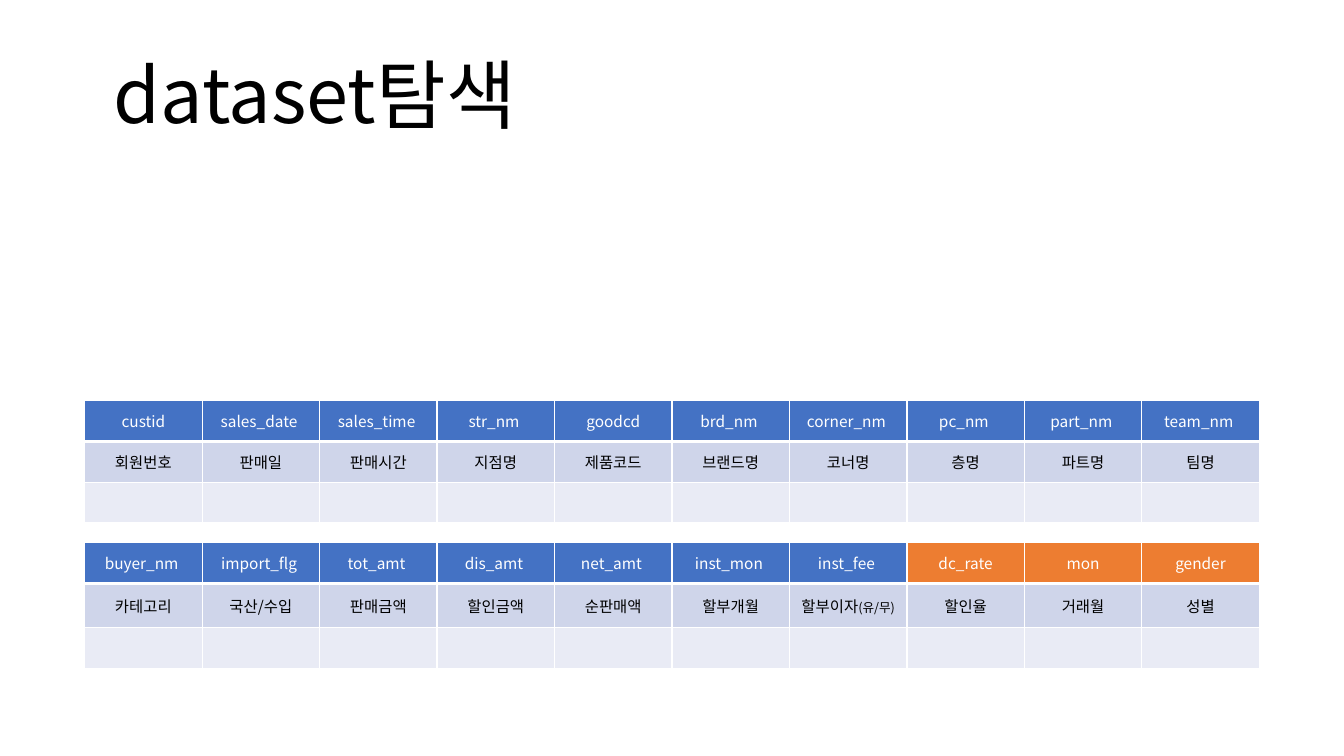
from lxml.etree import SubElement
from pptx import Presentation
from pptx.dml.color import RGBColor
from pptx.enum.text import MSO_ANCHOR as ANCHOR, MSO_AUTO_SIZE as AUTO, PP_ALIGN as ALIGN
from pptx.oxml.ns import qn
from pptx.util import Pt

PX = 9144  # EMU per px, 100 px to the inch
FONT = "Noto Sans CJK KR"
COLORS = {
    "text": "000000",
    "white": "FFFFFF",
    "source": "4472C4",
    "derived": "ED7D31",
    "label": "CFD5EA",
    "empty": "E9EBF5",
}

# Each column: field name, then the runs of its label as (text, size)
SALES_FIELDS = [
    ("custid", "회원번호"), ("sales_date ", "판매일"), ("sales_time ", "판매시간"),
    ("str_nm ", "지점명"), ("goodcd", "제품코드"), ("brd_nm ", "브랜드명"),
    ("corner_nm ", "코너명"), ("pc_nm ", "층명"), ("part_nm ", "파트명"),
    ("team_nm ", "팀명"),
]
AMOUNT_FIELDS = [
    ("buyer_nm ", "카테고리"), ("import_flg ", "국산/수입"), ("tot_amt ", "판매금액"),
    ("dis_amt ", "할인금액"), ("net_amt ", "순판매액"), ("inst_mon ", "할부개월"),
    ("inst_fee ", "할부이자"), ("dc_rate", "할인율"), ("mon", "거래월"),
    ("gender", "성별"),
]
DERIVED = {"dc_rate", "mon", "gender"}
SMALL_NOTES = {"할부이자": "(유/무)"}


def rgb(name):
    return RGBColor.from_string(COLORS[name])


def style_paragraph(p, size, color, align):
    p.alignment = align
    p.font.size = Pt(size)
    p.font.bold = False
    p.font.name = FONT
    p.font.color.rgb = rgb(color)
    props = p._p.pPr.find(qn("a:defRPr"))
    SubElement(props, qn("a:ea")).set("typeface", FONT)


def add_title(s, text, x, y, w, h):
    sp = s.shapes.title
    sp.left, sp.top, sp.width, sp.height = (v * PX for v in (x, y, w, h))
    tf = sp.text_frame
    tf.text = text
    tf.word_wrap = False
    tf.auto_size = AUTO.SHAPE_TO_FIT_TEXT
    tf.vertical_anchor = ANCHOR.TOP
    style_paragraph(tf.paragraphs[0], 54, "text", ALIGN.LEFT)


def set_borders(cell, bottom):
    """Draw white cell borders; only the bottom width varies."""
    tcPr = cell._tc.get_or_add_tcPr()
    widths = {"L": 1, "R": 1, "T": 1, "B": bottom}
    for i, (side, width) in enumerate(widths.items()):
        ln = tcPr.makeelement(qn(f"a:ln{side}"), {"w": str(Pt(width))})
        fill = SubElement(ln, qn("a:solidFill"))
        SubElement(fill, qn("a:srgbClr")).set("val", COLORS["white"])
        tcPr.insert(i, ln)


def fill_cell(cell, text, fill, color="text", bottom=1):
    cell.fill.solid()
    cell.fill.fore_color.rgb = rgb(fill)
    cell.vertical_anchor = ANCHOR.MIDDLE
    set_borders(cell, bottom)
    p = cell.text_frame.paragraphs[0]
    style_paragraph(p, 11, color, ALIGN.CENTER)
    if text:
        p.add_run().text = text
    if text in SMALL_NOTES:
        r = p.add_run()
        r.text = SMALL_NOTES[text]
        r.font.size = Pt(9)


def add_field_table(s, fields, x, y, w, row_heights):
    frame = s.shapes.add_table(len(row_heights), len(fields),
                               x * PX, y * PX, w * PX, sum(row_heights) * PX)
    table = frame.table
    table.first_row = table.horz_banding = False
    for row, height in zip(table.rows, row_heights):
        row.height = height * PX
    for col, (name, label) in enumerate(fields):
        header = "derived" if name in DERIVED else "source"
        fill_cell(table.cell(0, col), name, header, "white", bottom=3)
        fill_cell(table.cell(1, col), label, "label")
        fill_cell(table.cell(2, col), "", "empty")


def main():
    prs = Presentation()
    prs.slide_width, prs.slide_height = 1333 * PX, 750 * PX
    s = prs.slides.add_slide(prs.slide_layouts[5])

    # Title
    add_title(s, "dataset탐색", 103, 43, 441, 101)

    # Field tables
    add_field_table(s, SALES_FIELDS, 84, 397, 1165, (41, 41, 39))
    add_field_table(s, AMOUNT_FIELDS, 84, 538, 1165, (41, 41, 41))

    prs.save("out.pptx")


if __name__ == "__main__":
    main()
